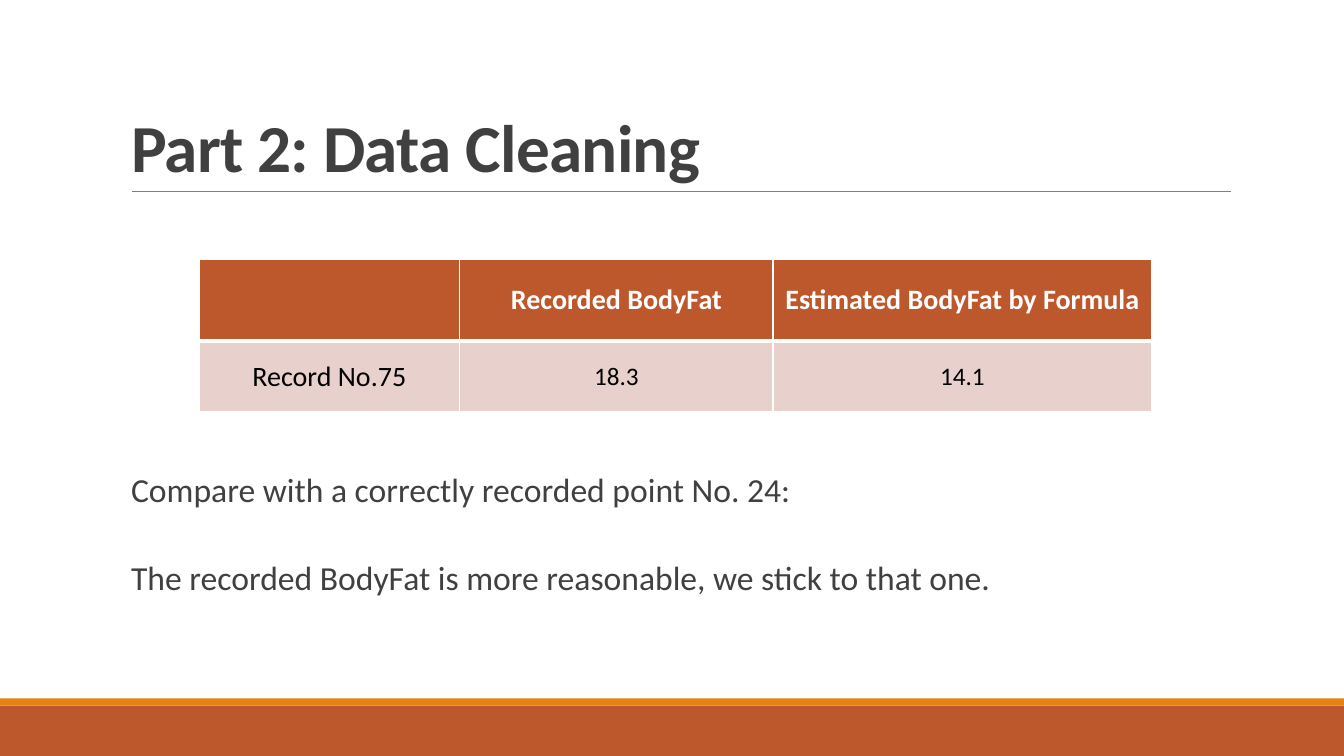
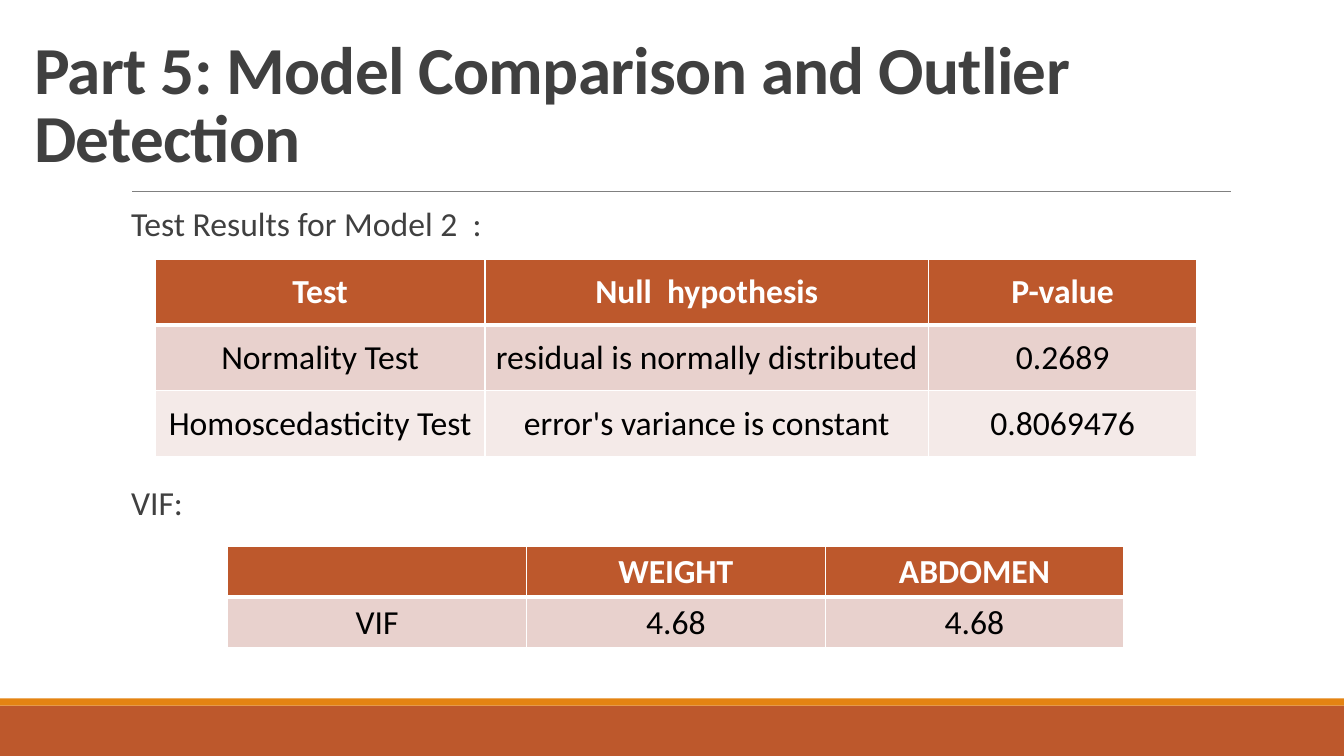
from dataclasses import dataclass

from lxml.etree import SubElement
from pptx import Presentation
from pptx.dml.color import RGBColor
from pptx.enum.shapes import MSO_CONNECTOR, MSO_SHAPE
from pptx.enum.text import MSO_ANCHOR, MSO_AUTO_SIZE, PP_ALIGN
from pptx.oxml.ns import qn
from pptx.util import Inches, Pt

# Slide size and grid: 40 columns by 30 rows
SLIDE_WIDTH, SLIDE_HEIGHT = Inches(13.33), Inches(7.5)
COLUMN, ROW = SLIDE_WIDTH / 40, SLIDE_HEIGHT / 30

# Shared look
FONT = "Calibri"
RUST = RGBColor(0xBD, 0x58, 0x2C)
ORANGE = RGBColor(0xE4, 0x83, 0x12)
GRAY = RGBColor(0x80, 0x80, 0x80)
DARK = RGBColor(0x40, 0x40, 0x40)
WHITE = RGBColor(0xFF, 0xFF, 0xFF)
BLACK = RGBColor(0, 0, 0)
ROW_TINTS = (RGBColor(0xE8, 0xD1, 0xCD), RGBColor(0xF4, 0xEA, 0xE8))


@dataclass
class Box:
    """A region in grid columns and rows."""
    left: float
    top: float
    width: float
    height: float

    def lengths(self):
        return (round(self.left * COLUMN), round(self.top * ROW),
                round(self.width * COLUMN), round(self.height * ROW))


def format_font(font, size, color, bold=False):
    font.name, font.size, font.bold = FONT, Pt(size), bold
    font.color.rgb = color


def add_band(slide, box, color):
    band = slide.shapes.add_shape(MSO_SHAPE.RECTANGLE, *box.lengths())
    band.shadow.inherit = False
    band.fill.solid()
    band.fill.fore_color.rgb = color
    band.line.fill.background()


def add_rule(slide, box):
    left, top, width, height = box.lengths()
    rule = slide.shapes.add_connector(
        MSO_CONNECTOR.STRAIGHT, left, top, left + width, top + height)
    rule.line.color.rgb = GRAY
    rule.line.width = Pt(0.5)
    SubElement(rule._element.spPr, qn("a:effectLst"))


def place_title(slide, box, text):
    title = slide.shapes.title
    title.left, title.top, title.width, title.height = box.lengths()
    frame = title.text_frame
    frame.text = text
    frame.word_wrap = True
    frame.auto_size = MSO_AUTO_SIZE.NONE
    frame.vertical_anchor = MSO_ANCHOR.BOTTOM
    paragraph = frame.paragraphs[0]
    paragraph.alignment = PP_ALIGN.LEFT
    paragraph.line_spacing = 0.85
    for run in paragraph.runs:
        format_font(run.font, 48, DARK, bold=True)
        run.font._element.set("spc", "-50")


def add_slide(presentation, title_box, title):
    """Title-only slide with the shared footer bands and title rule."""
    slide = presentation.slides.add_slide(presentation.slide_layouts[5])
    add_band(slide, Box(0, 28, 40, 2), RUST)
    add_band(slide, Box(0, 27.72, 40, 0.28), ORANGE)
    add_rule(slide, Box(3.93, 7.6, 32.7, 0))
    place_title(slide, title_box, title)
    return slide


def add_statements(slide, box, *statements):
    frame = slide.shapes.add_textbox(*box.lengths()).text_frame
    frame.word_wrap = True
    frame.margin_left = frame.margin_right = 0
    frame.vertical_anchor = MSO_ANCHOR.MIDDLE
    for index, statement in enumerate(statements):
        paragraph = frame.add_paragraph() if index else frame.paragraphs[0]
        paragraph.text = statement
        paragraph.line_spacing = 0.9
        paragraph.space_before = Pt(37 if index else 0)
        format_font(paragraph.runs[0].font, 24, DARK)


def set_borders(cell, bottom_width):
    properties = cell._tc.get_or_add_tcPr()
    for side, width in (("L", 1), ("R", 1), ("T", 1), ("B", bottom_width)):
        border = SubElement(properties, qn(f"a:ln{side}"), w=str(Pt(width)))
        fill = SubElement(border, qn("a:solidFill"))
        SubElement(fill, qn("a:srgbClr"), val=str(WHITE))


def format_cell(cell, text, size, row):
    is_header = row == 0
    set_borders(cell, 3 if is_header else 1)
    cell.fill.solid()
    cell.fill.fore_color.rgb = RUST if is_header else ROW_TINTS[(row - 1) % 2]
    cell.vertical_anchor = MSO_ANCHOR.MIDDLE
    cell.text_frame.text = text
    paragraph = cell.text_frame.paragraphs[0]
    paragraph.alignment = PP_ALIGN.CENTER
    for run in paragraph.runs:
        format_font(run.font, size, WHITE if is_header else BLACK, is_header)


def add_data_table(slide, box, rows, column_shares, row_shares, size, value_size):
    """Table filling the box; body values right of the labels use value_size."""
    frame = slide.shapes.add_table(len(rows), len(rows[0]), *box.lengths())
    table = frame.table
    _, _, width, height = box.lengths()
    for column, share in zip(table.columns, column_shares):
        column.width = round(width * share / sum(column_shares))
    for row, share in zip(table.rows, row_shares):
        row.height = round(height * share / sum(row_shares))
    for row_index, texts in enumerate(rows):
        for column_index, text in enumerate(texts):
            is_value = row_index > 0 and column_index > 0
            format_cell(table.cell(row_index, column_index), text,
                        value_size if is_value else size, row_index)


def build_cleaning_slide(presentation):
    slide = add_slide(presentation, Box(3.6, 1.24, 33, 6.36),
                      "Part 2: Data Cleaning")
    add_data_table(
        slide, Box(5.92, 10.3, 28.36, 6.04),
        [("", "Recorded BodyFat", "Estimated BodyFat by Formula"),
         ("Record No.75", "18.3", "14.1")],
        (2.59, 3.11, 3.76), (0.81, 0.7), size=20, value_size=18)
    add_statements(
        slide, Box(3.9, 18.24, 32.7, 6),
        "Compare with a correctly recorded point No. 24:",
        "The recorded BodyFat is more reasonable, we stick to that one.")


def build_comparison_slide(presentation):
    slide = add_slide(presentation, Box(0.72, 1.8, 38.73, 5.4),
                      "Part 5: Model Comparison and Outlier Detection")
    add_statements(slide, Box(3.9, 7.96, 32.7, 2), "Test Results for Model 2  :")
    add_data_table(
        slide, Box(4.62, 10.28, 31, 7.84),
        [("Test", "Null  hypothesis", "P-value"),
         ("Normality Test", "residual is normally distributed", "0.2689"),
         ("Homoscedasticity Test", "error's variance is constant", "0.8069476")],
        (3.27, 4.4, 2.66), (1, 1, 1), size=24, value_size=24)
    add_statements(slide, Box(3.9, 19.04, 32.7, 2), "VIF:")
    add_data_table(
        slide, Box(6.78, 21.7, 26.67, 4),
        [("", "WEIGHT", "ABDOMEN"), ("VIF", "4.68", "4.68")],
        (1, 1, 1), (1, 1), size=24, value_size=24)


def main():
    presentation = Presentation()
    presentation.slide_width = SLIDE_WIDTH
    presentation.slide_height = SLIDE_HEIGHT
    build_cleaning_slide(presentation)
    build_comparison_slide(presentation)
    presentation.save("out.pptx")


if __name__ == "__main__":
    main()
